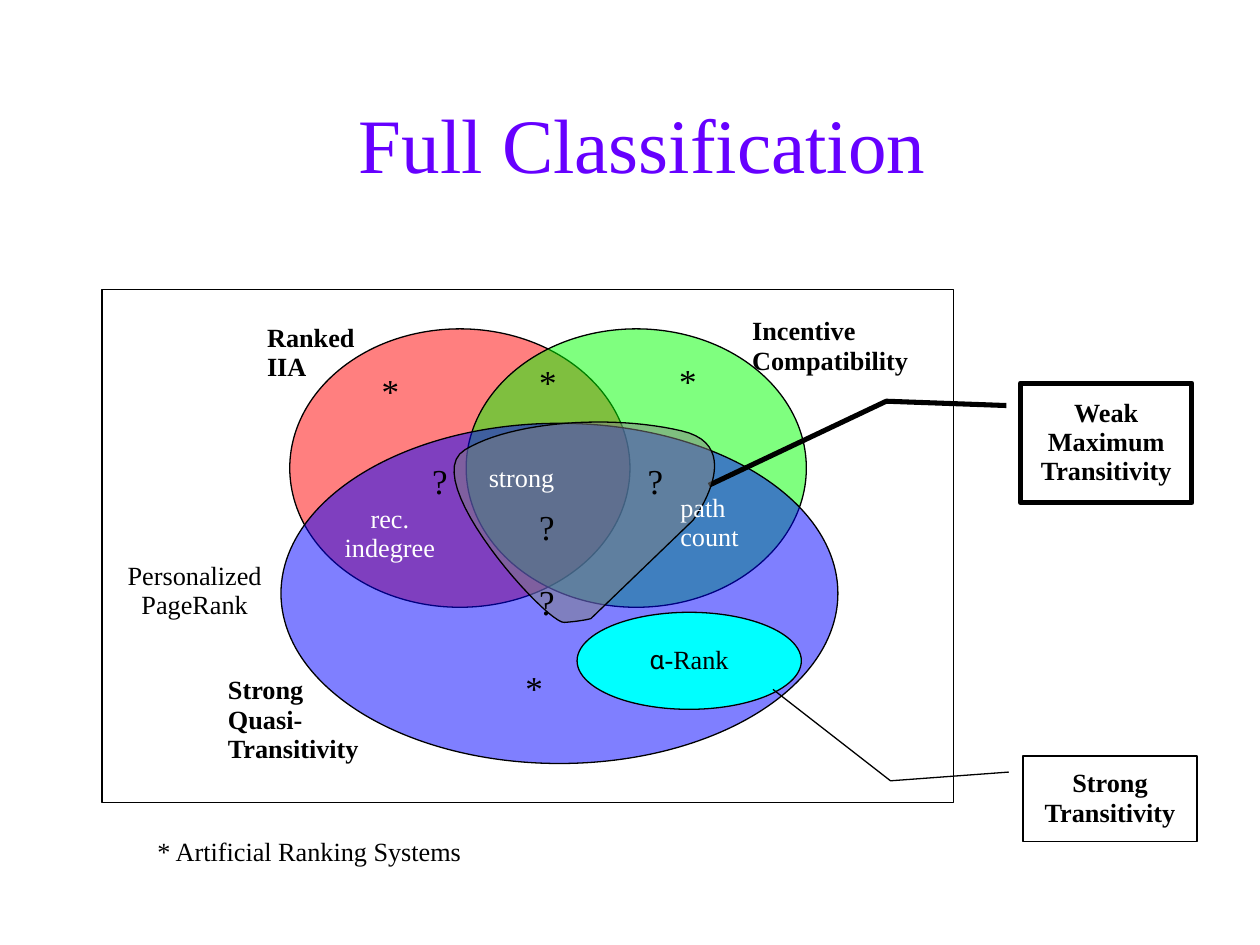
"""Build the Full Classification slide: a Venn diagram of ranking-system axioms."""
from dataclasses import dataclass

from lxml.etree import SubElement
from pptx import Presentation
from pptx.dml.color import RGBColor
from pptx.enum.shapes import MSO_SHAPE
from pptx.enum.text import MSO_ANCHOR, PP_ALIGN
from pptx.oxml.ns import qn
from pptx.util import Inches, Pt


@dataclass(frozen=True)
class Theme:
    black: str = "000000"
    white: str = "FFFFFF"
    violet: str = "6600FF"
    red: str = "FF0000"
    green: str = "00FF00"
    blue: str = "0000FF"
    cyan: str = "00FFFF"
    gray: str = "808080"
    serif: str = "Times New Roman"
    sans: str = "Roboto"
    title: float = 44
    mark: float = 20
    label: float = 15
    thin: float = 0.75
    thick: float = 2.89


def write(frame, text, *, size, color, font, bold=False, align=PP_ALIGN.LEFT, spacing=0.93,
          anchor=MSO_ANCHOR.TOP, wrap=False, inset=0, symbol="", symbol_font=None):
    frame.word_wrap = wrap
    frame.vertical_anchor = anchor
    frame.margin_left = frame.margin_right = Inches(inset)
    frame.margin_top = frame.margin_bottom = Inches(inset)
    for index, line in enumerate(text.split("\n")):
        paragraph = frame.add_paragraph() if index else frame.paragraphs[0]
        paragraph.alignment = align
        paragraph.line_spacing = spacing
        for words, face in ((symbol, symbol_font), (line, font)):
            if words:
                run = paragraph.add_run()
                run.text = words
                run.font.name = face
                run.font.size = Pt(size)
                run.font.bold = bold
                run.font.color.rgb = RGBColor.from_string(color)


def curve(start, first, second, end, steps=24):
    """Return points along a cubic Bezier curve, without its start."""
    points = []
    for step in range(1, steps + 1):
        t = step / steps
        u = 1 - t
        points.append(tuple(
            u**3 * a + 3 * u * u * t * b + 3 * u * t * t * c + t**3 * d
            for a, b, c, d in zip(start, first, second, end)))
    return points


class Diagram:
    def __init__(self, slide, theme):
        self.shapes = slide.shapes
        self.theme = theme

    def paint(self, shape, fill, weight=None, alpha=None):
        shape.shadow.inherit = False
        shape.fill.solid()
        shape.fill.fore_color.rgb = RGBColor.from_string(fill)
        if alpha is not None:
            color = next(shape.fill._xPr.iter(qn("a:srgbClr")))
            SubElement(color, qn("a:alpha"), val=str(alpha * 1000))
        shape.line.color.rgb = RGBColor.from_string(self.theme.black)
        shape.line.width = Pt(weight or self.theme.thin)
        return shape

    def preset(self, kind, box, fill, **style):
        return self.paint(self.shapes.add_shape(kind, *map(Inches, box)), fill, **style)

    def region(self, box, fill, alpha=50):
        return self.preset(MSO_SHAPE.OVAL, box, fill, alpha=alpha)

    def outline(self, points, fill):
        builder = self.shapes.build_freeform(
            *map(Inches, points[0]), scale=1.0)
        builder.add_line_segments([tuple(map(Inches, point)) for point in points[1:]])
        self.paint(builder.convert_to_shape(), fill, alpha=50)

    def text(self, box, words, **style):
        theme = self.theme
        style = {"size": theme.label, "color": theme.black, "font": theme.serif} | style
        write(self.shapes.add_textbox(*map(Inches, box)).text_frame, words, **style)

    def callout(self, box, words, leader, weight, inset=0):
        theme = self.theme
        shape = self.preset(MSO_SHAPE.LINE_CALLOUT_2, box, theme.white, weight=weight)
        for index, value in enumerate(leader):
            shape.adjustments[index] = value
        write(shape.text_frame, words, size=theme.label, color=theme.black, font=theme.serif,
              bold=True, align=PP_ALIGN.CENTER, anchor=MSO_ANCHOR.MIDDLE, wrap=True, inset=inset)


def main():
    theme = Theme()
    presentation = Presentation()
    presentation.slide_width, presentation.slide_height = Inches(10), Inches(7.5)
    diagram = Diagram(presentation.slides.add_slide(presentation.slide_layouts[6]), theme)
    center, middle = PP_ALIGN.CENTER, MSO_ANCHOR.MIDDLE

    diagram.preset(MSO_SHAPE.RECTANGLE, (0.81, 2.3, 6.76, 4.07), theme.white)
    for box, fill in (
        ((2.3, 2.61, 2.7, 2.21), theme.red),
        ((3.7, 2.61, 2.7, 2.21), theme.green),
        ((2.23, 3.36, 4.42, 2.7), theme.blue),
    ):
        diagram.region(box, fill)

    for box, axiom, wrap in (
        ((2.12, 2.57, 0.83, 0.47), "Ranked\nIIA", False),
        ((5.97, 2.52, 1.56, 0.47), "Incentive\nCompatibility", True),
        ((1.81, 5.37, 1.27, 0.7), "Strong\nQuasi-\nTransitivity", False),
    ):
        diagram.text(box, axiom, bold=True, wrap=wrap)

    alpha_rank = diagram.region((4.58, 4.86, 1.78, 0.77), theme.cyan, alpha=None)
    write(alpha_rank.text_frame, "-Rank", size=theme.label, color=theme.black, font=theme.serif,
          align=center, anchor=middle, spacing=0.97, symbol="α", symbol_font=theme.sans)

    diagram.callout((8.12, 6, 1.38, 0.68), "Strong\nTransitivity",
                    (0.188, -0.083, 0.29, -0.763, -0.778, -1.439), theme.thin)
    diagram.text((0.92, 4.46, 1.25, 0.47), "Personalized\nPageRank", align=center)
    diagram.callout((8.1, 3.04, 1.36, 0.95), "Weak Maximum Transitivity",
                    (0.188, -0.083, 0.152, -0.784, 0.854, -1.819), theme.thick, inset=0.02)

    weak_maximum = [(5.5, 4.13)]
    for bend in (
        ((5.5, 4.13), (5.94, 3.54), (5.41, 3.42)),
        ((4.86, 3.29), (4.07, 3.34), (3.69, 3.57)),
        ((3.3, 3.8), (4.35, 4.96), (4.48, 4.94)),
        ((4.62, 4.93), (4.69, 4.91), (4.69, 4.91)),
    ):
        weak_maximum += curve(weak_maximum[-1], *bend)
    diagram.outline(weak_maximum, theme.gray)

    diagram.text((0.83, 0.52, 8.54, 1.29), "Full Classification", size=theme.title,
                 color=theme.violet, align=center, anchor=middle, spacing=0.98, wrap=True)
    for box, system, align in (
        ((2.66, 4.01, 0.87, 0.47), "rec.\nindegree", center),
        ((5.4, 3.92, 0.56, 0.47), "path\ncount", PP_ALIGN.LEFT),
        ((3.88, 3.68, 0.84, 0.24), "strong", PP_ALIGN.LEFT),
    ):
        diagram.text(box, system, color=theme.white, align=align)

    diagram.text((1.25, 6.65, 2.74, 0.23), "* Artificial Ranking Systems")
    marks = {
        "*": ((4.17, 5.32), (3.03, 2.96), (5.39, 2.88), (4.28, 2.89)),
        "?": ((5.14, 3.68), (3.43, 3.68), (4.28, 4.64), (4.28, 4.04)),
    }
    for mark, corners in marks.items():
        for left, top in corners:
            diagram.text((left, top, 0.14, 0.32), mark, size=theme.mark)

    presentation.save("out.pptx")


if __name__ == "__main__":
    main()
